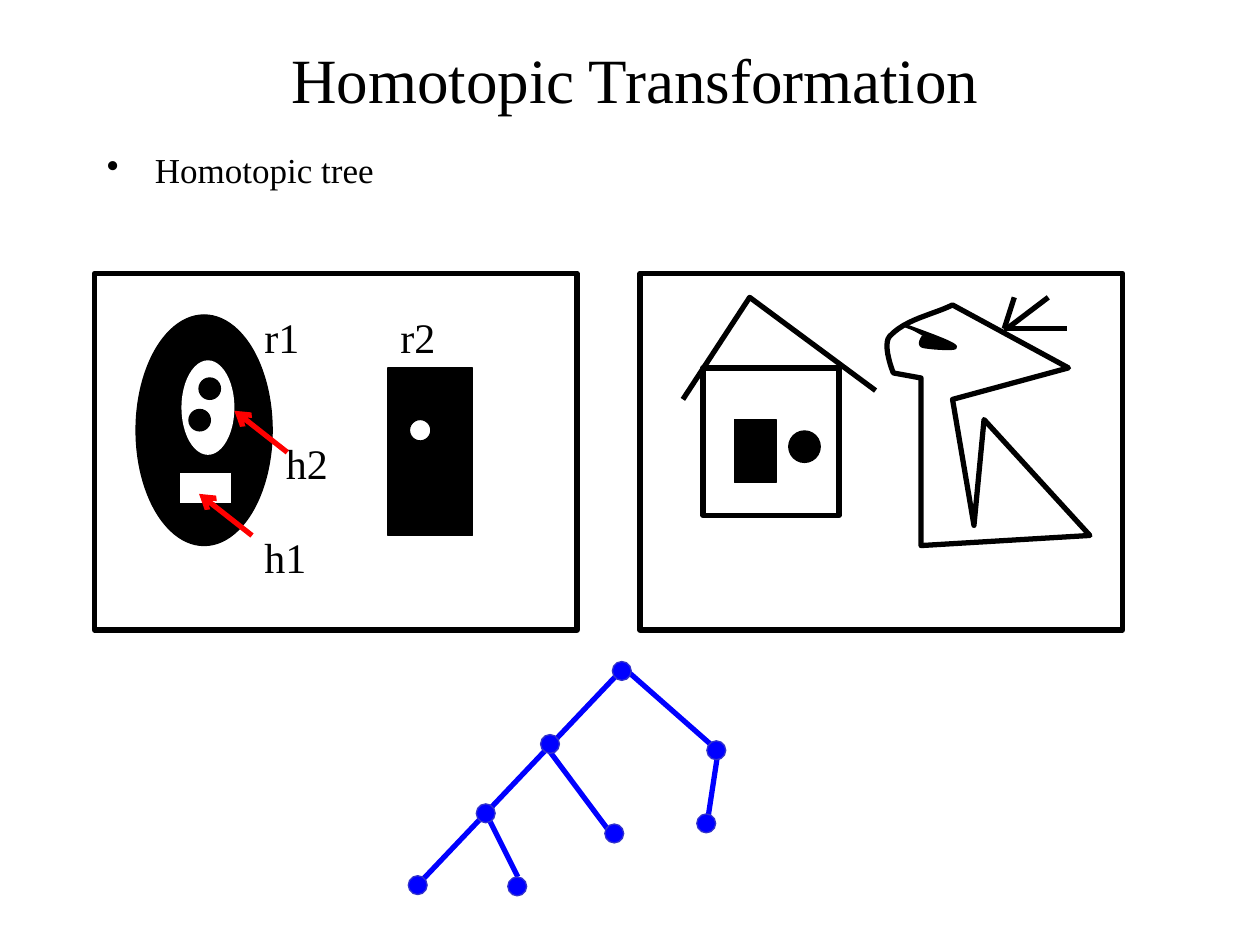
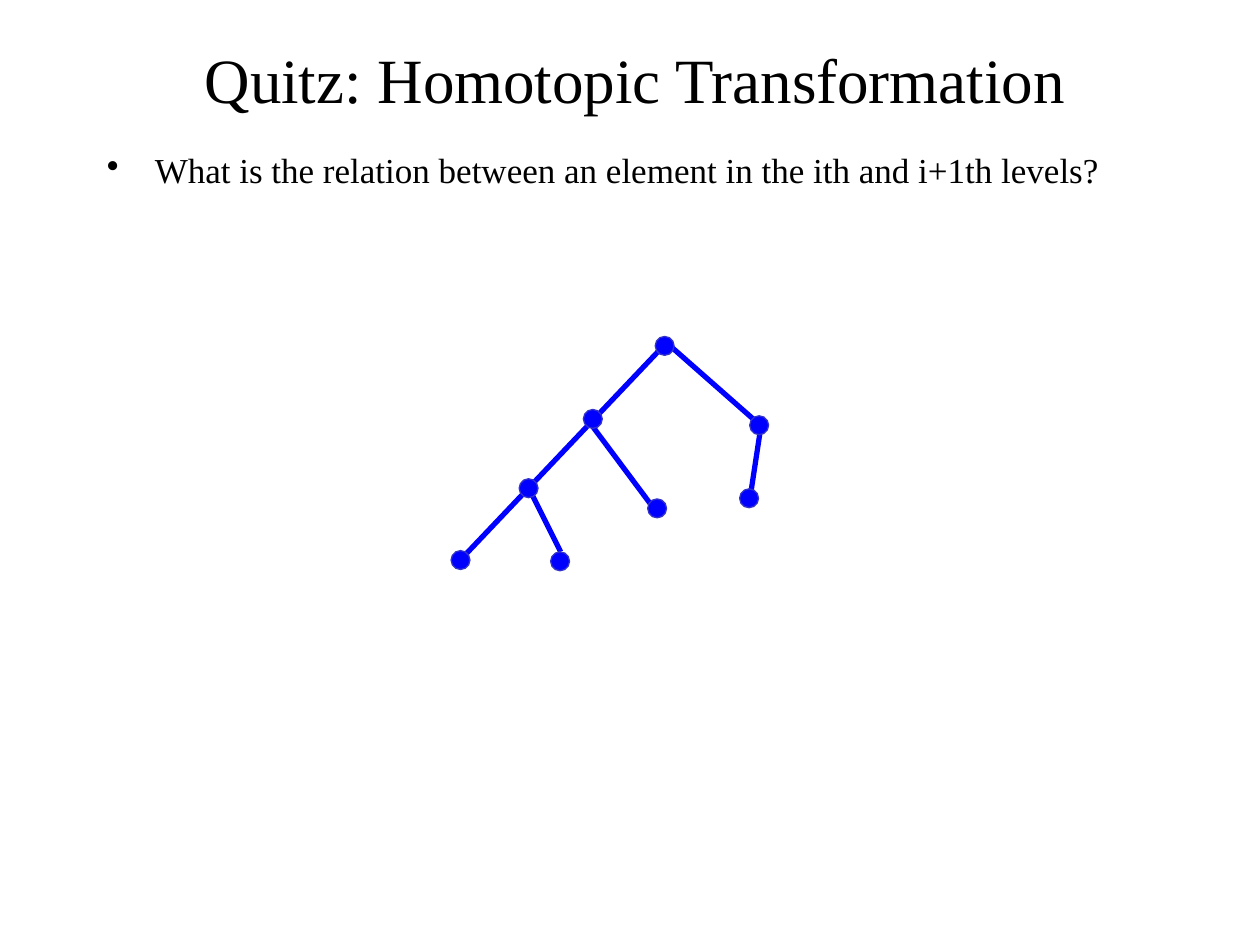
"""Build two slides on homotopic transformation and its region tree."""
import lxml.etree
import pptx
import pptx.dml.color
import pptx.enum.shapes
import pptx.enum.text
import pptx.oxml.ns
import pptx.util

Inches = pptx.util.Inches
Pt = pptx.util.Pt
RGBColor = pptx.dml.color.RGBColor
RECTANGLE = pptx.enum.shapes.MSO_SHAPE.RECTANGLE
OVAL = pptx.enum.shapes.MSO_SHAPE.OVAL
STRAIGHT = pptx.enum.shapes.MSO_CONNECTOR.STRAIGHT
qn = pptx.oxml.ns.qn

BLACK = RGBColor(0x00, 0x00, 0x00)
WHITE = RGBColor(0xFF, 0xFF, 0xFF)
RED = RGBColor(0xFF, 0x00, 0x00)
BLUE = RGBColor(0x00, 0x00, 0xFF)
NODE_EDGE = RGBColor(0x33, 0x33, 0xCC)
FONT = "Times New Roman"
THIN = 0.75
THICK = 3
NODE_SIZE = 0.15
CURVE_STEPS = 12

TREE_EDGES = [
    (0.04, 1.81, 1.71, 0.05),
    (1.71, 0.05, 2.46, 0.71),
    (1.12, 0.71, 1.62, 1.38),
    (0.62, 1.21, 0.87, 1.71),
    (2.46, 0.71, 2.37, 1.30),
]
TREE_NODES = [
    (1.05, 0.58), (1.62, 0), (1.56, 1.29), (0.79, 1.71),
    (0, 1.70), (0.54, 1.13), (2.37, 0.63), (2.29, 1.21),
]
SLIDES = [
    ("Homotopic Transformation", "Homotopic tree", 3.24, 5.25),
    ("Quitz: Homotopic Transformation",
     "What is the relation between an element in the ith and i+1th levels?", 3.58, 2.67),
]


def paint(shape, fill, line, width):
    shape.shadow.inherit = False
    if fill is None:
        shape.fill.background()
    else:
        shape.fill.solid()
        shape.fill.fore_color.rgb = fill
    if line is None:
        shape.line.fill.background()
    else:
        shape.line.color.rgb = line
        shape.line.width = Pt(width)


def add_line(shapes, ends, color, arrow=False):
    connector = shapes.add_connector(STRAIGHT, *[Inches(end) for end in ends])
    connector.line.color.rgb = color
    connector.line.width = Pt(THICK)
    properties = connector._element.spPr
    if arrow:
        lxml.etree.SubElement(properties.find(qn("a:ln")), qn("a:tailEnd"), type="arrow")
    lxml.etree.SubElement(properties, qn("a:effectLst"))


presentation = pptx.Presentation()
presentation.slide_width = Inches(10)
presentation.slide_height = Inches(7.5)

for title, point, tree_left, tree_top in SLIDES:
    slide = presentation.slides.add_slide(presentation.slide_layouts[6])

    title_box = slide.shapes.add_textbox(Inches(0.64), Inches(0.19), Inches(8.8), Inches(0.86))
    title_box.text_frame.vertical_anchor = pptx.enum.text.MSO_ANCHOR.MIDDLE
    point_box = slide.shapes.add_textbox(Inches(0.75), Inches(1.17), Inches(8.42), Inches(5.76))
    for box, text, size in [(title_box, title, 36), (point_box, point, 20)]:
        box.text_frame.word_wrap = True
        paragraph = box.text_frame.paragraphs[0]
        paragraph.text = text
        paragraph.font.name = FONT
        paragraph.font.size = Pt(size)
        paragraph.font.color.rgb = BLACK
    title_box.text_frame.paragraphs[0].alignment = pptx.enum.text.PP_ALIGN.CENTER
    paragraph.line_spacing = 0.9
    paragraph_properties = paragraph._p.get_or_add_pPr()
    paragraph_properties.set("marL", str(Inches(0.38)))
    paragraph_properties.set("indent", str(-Inches(0.38)))
    bullet = lxml.etree.Element(qn("a:buChar"), char="•")
    paragraph_properties.find(qn("a:lnSpc")).addnext(bullet)

    tree = slide.shapes.add_group_shape()
    for x1, y1, x2, y2 in TREE_EDGES:
        ends = (tree_left + x1, tree_top + y1, tree_left + x2, tree_top + y2)
        add_line(tree.shapes, ends, BLUE)
    for x, y in TREE_NODES:
        node = tree.shapes.add_shape(OVAL, Inches(tree_left + x), Inches(tree_top + y),
                                     Inches(NODE_SIZE), Inches(NODE_SIZE))
        paint(node, BLUE, NODE_EDGE, THIN)

slide = presentation.slides[0]

REGIONS = [
    (RECTANGLE, 0.75, 2.17, 3.83, 2.83, None, BLACK, THICK),
    (OVAL, 1.08, 2.5, 1.08, 1.83, BLACK, BLACK, THIN),
    (OVAL, 1.44, 2.86, 0.42, 0.75, WHITE, None, THIN),
    (OVAL, 1.58, 3, 0.17, 0.17, BLACK, BLACK, THIN),
    (OVAL, 1.5, 3.25, 0.17, 0.17, BLACK, BLACK, THIN),
    (RECTANGLE, 1.42, 3.75, 0.42, 0.25, WHITE, BLACK, THIN),
    (RECTANGLE, 3.08, 2.92, 0.67, 1.33, BLACK, BLACK, THIN),
    (OVAL, 3.25, 3.33, 0.17, 0.17, WHITE, BLACK, THIN),
    (RECTANGLE, 5.08, 2.17, 3.83, 2.83, None, BLACK, THICK),
    (RECTANGLE, 5.58, 2.92, 1.08, 1.17, WHITE, BLACK, THICK),
    (RECTANGLE, 5.83, 3.33, 0.33, 0.5, BLACK, BLACK, THIN),
    (OVAL, 6.26, 3.42, 0.25, 0.25, BLACK, BLACK, THIN),
]
for kind, left, top, width, height, fill, line, line_width in REGIONS:
    region = slide.shapes.add_shape(kind, Inches(left), Inches(top), Inches(width), Inches(height))
    paint(region, fill, line, line_width)

ROOF = [(5.42, 3.17), (5.95, 2.36), (6.95, 3.1)]
BIRD = [
    (7.31, 3), (7.31, 4.33), (8.65, 4.25), (7.81, 3.33), (7.73, 4.17),
    (7.56, 3.17), (8.48, 2.92), (7.56, 2.42),
    ((7.4, 2.5), (7.19, 2.53), (7.06, 2.67)),
    ((7, 2.74), (7.09, 2.96), (7.09, 2.96)),
]
BEAK = [
    (7.17, 2.58),
    ((7.36, 2.65), (7.56, 2.72), (7.58, 2.75)),
    ((7.61, 2.78), (7.38, 2.76), (7.33, 2.75)),
    ((7.29, 2.74), (7.31, 2.7), (7.33, 2.67)),
]
for outline, closed, fill, line_width in [
    (ROOF, False, None, THICK),
    (BIRD, True, WHITE, THICK),
    (BEAK, False, BLACK, 2),
]:
    points = [outline[0]]
    for segment in outline[1:]:
        if len(segment) == 2:
            points.append(segment)
            continue
        controls = (points[-1], *segment)
        for step in range(1, CURVE_STEPS + 1):
            t = step / CURVE_STEPS
            weights = ((1 - t) ** 3, 3 * t * (1 - t) ** 2, 3 * t ** 2 * (1 - t), t ** 3)
            points.append(tuple(sum(weight * control[axis] for weight, control in zip(weights, controls))
                                for axis in (0, 1)))
    builder = slide.shapes.build_freeform(Inches(points[0][0]), Inches(points[0][1]))
    builder.add_line_segments([(Inches(x), Inches(y)) for x, y in points[1:]], close=closed)
    paint(builder.convert_to_shape(), fill, BLACK, line_width)

for feather in [(7.97, 2.61, 8.05, 2.36), (7.97, 2.61, 8.47, 2.61), (7.99, 2.61, 8.32, 2.36)]:
    add_line(slide.shapes, feather, BLACK)

for name, left, top, width in [
    ("r1", 2, 2.42, 0.5), ("r2", 3.08, 2.42, 0.5),
    ("h1", 2, 4.17, 0.83), ("h2", 2.17, 3.42, 0.83),
]:
    label = slide.shapes.add_textbox(Inches(left), Inches(top), Inches(width), Inches(0.5))
    label.text_frame.word_wrap = True
    paragraph = label.text_frame.paragraphs[0]
    paragraph.text = name
    paragraph.font.name = FONT
    paragraph.font.size = Pt(24)
    paragraph.font.color.rgb = BLACK

for hole_arrow in [(2, 4.25, 1.58, 3.92), (2.28, 3.59, 1.86, 3.26)]:
    add_line(slide.shapes, hole_arrow, RED, arrow=True)

presentation.save("out.pptx")
